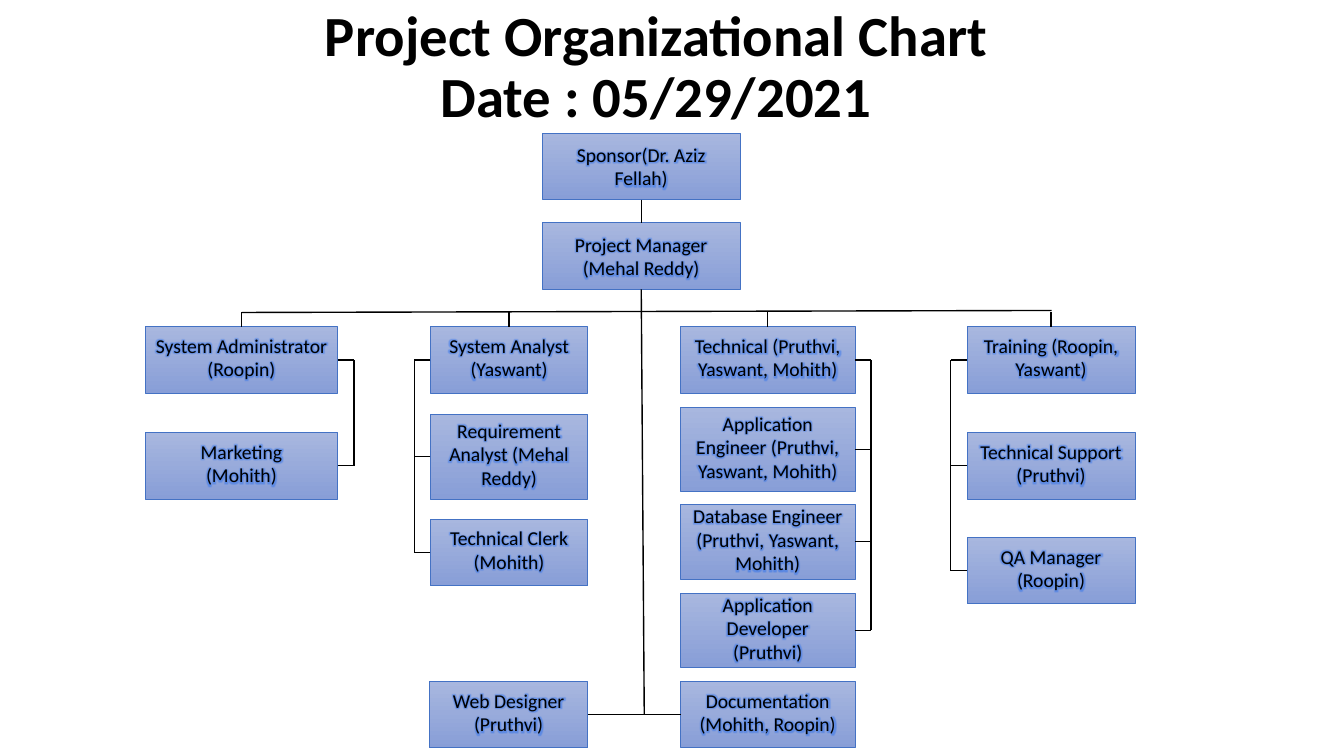
"""Build a project organizational chart slide."""
from lxml import etree
from pptx import Presentation
from pptx.dml.color import RGBColor
from pptx.enum.shapes import MSO_CONNECTOR, MSO_SHAPE
from pptx.enum.text import MSO_ANCHOR, PP_ALIGN
from pptx.oxml.ns import qn
from pptx.util import Inches, Pt

RECT, STRAIGHT = MSO_SHAPE.RECTANGLE, MSO_CONNECTOR.STRAIGHT
CENTER, MIDDLE, BOTTOM = PP_ALIGN.CENTER, MSO_ANCHOR.MIDDLE, MSO_ANCHOR.BOTTOM
COLORS = {"ink": "000000", "light": "A8B7DF", "dark": "889ED7",
          "edge": "4472C4", "glow": "4472C4"}
FONT = "Calibri"
CELL = Inches(0.1)
BOX_H, SPUR = 6.6, 1.6
BUS_Y, LEAF_Y = 31, 67.6


def color(name):
    return RGBColor.from_string(COLORS[name])


def cells(*lengths):
    return [int(v * CELL) for v in lengths]


class OrgChart:
    def __init__(self, slide):
        self.s = slide

    def label(self, sp, text, size, anchor, bold=False, glow=False):
        tf = sp.text_frame
        tf.word_wrap = True
        tf.vertical_anchor = anchor
        tf.text = text
        for p in tf.paragraphs:
            p.alignment = CENTER
            for r in p.runs:
                r.font.size, r.font.bold, r.font.name = Pt(size), bold, FONT
                r.font.color.rgb = color("ink")
                if glow:
                    self.glow(r)
        return tf

    def glow(self, r):
        effects = etree.Element(qn("a:effectLst"))
        halo = etree.SubElement(effects, qn("a:glow"), rad="63500")
        tint = etree.SubElement(halo, qn("a:srgbClr"), val=COLORS["glow"])
        etree.SubElement(tint, qn("a:satMod"), val="175000")
        etree.SubElement(tint, qn("a:alpha"), val="40000")
        r._r.rPr.find(qn("a:solidFill")).addnext(effects)

    def title(self, text, x, y, w, h):
        sp = self.s.shapes.add_textbox(*cells(x, y, w, h))
        tf = self.label(sp, text, 40.5, BOTTOM, bold=True)
        tf.paragraphs[0].line_spacing = 0.9

    def box(self, text, x, y, w, h=BOX_H, lift=0.5):
        sp = self.s.shapes.add_shape(RECT, *cells(x, y, w, h))
        sp.shadow.inherit = False
        sp.fill.gradient()
        sp.fill.gradient_angle = 270
        for stop, name in zip(sp.fill.gradient_stops, ("light", "dark")):
            stop.color.rgb = color(name)
        sp.line.color.rgb = color("edge")
        sp.line.width = Pt(0.5)
        tf = self.label(sp, text, 14, MIDDLE, glow=True)
        tf.margin_bottom = int((0.5 + lift) * CELL)

    def line(self, x1, y1, x2, y2):
        c = self.s.shapes.add_connector(STRAIGHT, *cells(x1, y1, x2, y2))
        c.line.color.rgb = color("ink")
        c.line.width = Pt(1)
        etree.SubElement(c._element.spPr, qn("a:effectLst"))

    def lane(self, x, w, side, roles):
        """Stack the roles and join them with a bracket on one side."""
        edge = x + w if side > 0 else x
        spine = edge + side * SPUR
        centers = [y + h / 2 for _, y, h in roles]
        for (text, y, h), mid in zip(roles, centers):
            self.box(text, x, y, w, h)
            self.line(edge, mid, spine, mid)
        self.line(spine, centers[0], spine, centers[-1])
        self.line(x + w / 2, BUS_Y, x + w / 2, roles[0][1])


LANES = [
    (14.4, 19.1, 1, [("System Administrator (Roopin)", 32.4, BOX_H),
                     ("Marketing\n(Mohith)", 42.9, BOX_H)]),
    (42.7, 15.6, -1, [("System Analyst (Yaswant)", 32.4, BOX_H),
                      ("Requirement Analyst (Mehal Reddy)", 41.1, 8.4),
                      ("Technical Clerk (Mohith)", 51.5, BOX_H)]),
    (67.5, 17.3, 1, [("Technical (Pruthvi, Yaswant, Mohith)", 32.4, BOX_H),
                     ("Application Engineer (Pruthvi, Yaswant, Mohith)", 40.4, 8.4),
                     ("Database Engineer (Pruthvi, Yaswant, Mohith)", 50, 7.5),
                     ("Application Developer (Pruthvi)", 58.9, 7.3)]),
    (95.9, 16.7, -1, [("Training (Roopin, Yaswant)", 32.4, BOX_H),
                      ("Technical Support (Pruthvi)", 42.9, BOX_H),
                      ("QA Manager (Roopin)", 53.3, BOX_H)]),
]

prs = Presentation()
prs.slide_width, prs.slide_height = Inches(13.33), Inches(7.5)
chart = OrgChart(prs.slides.add_slide(prs.slide_layouts[6]))
chart.title("Project Organizational Chart\vDate : 05/29/2021", 3.1, 0.3, 124, 13.1)
chart.box("Sponsor(Dr. Aziz Fellah)", 53.8, 13.2, 19.6, lift=0)
chart.box("Project Manager (Mehal Reddy)", 53.8, 22.1, 19.6, lift=0)
chart.line(63.6, 19.8, 63.6, 22.1)

for lane in LANES:
    chart.lane(*lane)
chart.line(24, BUS_Y, 104.3, BUS_Y - 0.2)

chart.box("Web Designer (Pruthvi)", 42.6, LEAF_Y, 15.7)
chart.box("Documentation (Mohith, Roopin)", 67.5, LEAF_Y, 17.3)
leaf_mid = LEAF_Y + BOX_H / 2
chart.line(58.3, leaf_mid, 67.5, leaf_mid)
chart.line(63.6, 28.7, 63.9, leaf_mid)
prs.save("out.pptx")
